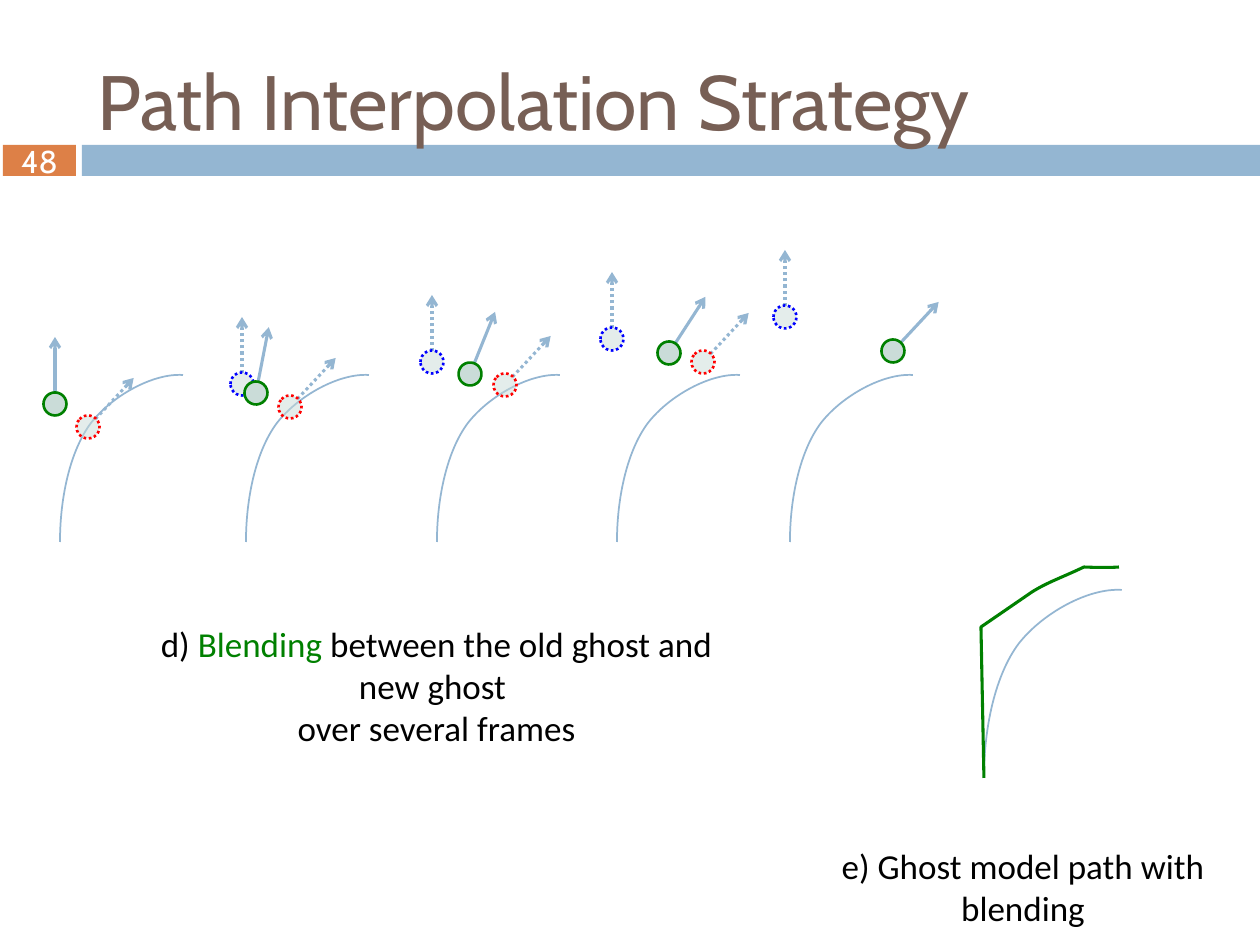
from math import cos, radians, sin

from lxml.etree import SubElement
from pptx import Presentation
from pptx.dml.color import RGBColor
from pptx.enum.dml import MSO_LINE as Dash
from pptx.enum.shapes import MSO_CONNECTOR as Connector, MSO_SHAPE as Preset
from pptx.enum.text import MSO_ANCHOR as Anchor, PP_ALIGN as Align
from pptx.oxml.ns import qn
from pptx.util import Pt

EMU_PER_PX = 914400 / 126
COLORS = {
    "title": "775F55", "bar": "94B6D2", "number": "DD8047", "ball": "CADCD8",
    "new": "FF0000", "old": "0000FF", "ghost": "008000",
    "black": "000000", "white": "FFFFFF",
}
BALL_SIZE = 23
ARROW_START, ARROW_END = 11, 67
TRACK = [(0, 0), [(0, -44), (10, -91), (31, -119)], [(52, -146), (93, -169), (123, -167)]]
BLENDED_PATH = [(984, 778), [(981, 627)], [(1032, 592)],
                [(1048, 582), (1061, 578), (1084, 567)],
                [(1108, 568), (1119, 567), (1119, 567)]]
FRAMES = [
    (60, [("new", 88, 427, 43), ("ghost", 55, 404, 0)]),
    (246, [("new", 290, 407, 43), ("old", 242, 384, 0), ("ghost", 256, 393, 11)]),
    (437, [("new", 505, 385, 43), ("old", 432, 362, 0), ("ghost", 470, 374, 22)]),
    (617, [("new", 703, 362, 43), ("old", 612, 339, 0), ("ghost", 669, 353, 33)]),
    (790, [("old", 785, 317, 0), ("ghost", 893, 351, 43)]),
]


def px(*lengths):
    return [round(length * EMU_PER_PX) for length in lengths]


def rgb(name):
    return RGBColor.from_string(COLORS[name])


def style_line(line, color, width, dotted=False):
    line.color.rgb = rgb(color)
    line.width = Pt(width)
    if dotted:
        line.dash_style = Dash.ROUND_DOT


def write(frame, paragraphs, size, font, color, align=Align.CENTER, anchor=Anchor.MIDDLE):
    frame.word_wrap = True
    frame.vertical_anchor = anchor
    for index, runs in enumerate(paragraphs):
        paragraph = frame.add_paragraph() if index else frame.paragraphs[0]
        paragraph.alignment = align
        paragraph.font.size = Pt(size)
        paragraph.font.name = font
        paragraph.font.color.rgb = rgb(color)
        for text, run_color in runs:
            run = paragraph.add_run()
            run.text = text
            if run_color != color:
                run.font.color.rgb = rgb(run_color)


def add_caption(slide, box, paragraphs):
    caption = slide.shapes.add_textbox(*px(*box))
    write(caption.text_frame, paragraphs, 20, "Calibri", "black", anchor=Anchor.TOP)


def add_band(slide, box, color):
    band = slide.shapes.add_shape(Preset.RECTANGLE, *px(*box))
    band.shadow.inherit = False
    band.fill.solid()
    band.fill.fore_color.rgb = rgb(color)
    band.line.fill.background()
    return band


def bend(outline, segments):
    steps = iter(outline._element.findall(".//" + qn("a:lnTo")))
    for segment in segments:
        first, *others = [next(steps) for _ in segment]
        if others:
            first.tag = qn("a:cubicBezTo")
        for step in others:
            first.append(step[0])
            step.getparent().remove(step)


def add_route(slide, route, color, width, origin=(0, 0), scale=1):
    start, *segments = route
    points = [start] + [point for segment in segments for point in segment]
    placed = [px(origin[0] + x * scale, origin[1] + y * scale) for x, y in points]
    builder = slide.shapes.build_freeform(*placed[0])
    builder.add_line_segments(placed[1:], close=False)
    outline = builder.convert_to_shape()
    bend(outline, segments)
    outline.shadow.inherit = False
    outline.fill.background()
    style_line(outline.line, color, width)


def add_heading(slide, x, y, angle, dotted):
    dx, dy = sin(radians(angle)), -cos(radians(angle))
    ends = [end for reach in (ARROW_START, ARROW_END)
            for end in px(x + dx * reach, y + dy * reach)]
    arrow = slide.shapes.add_connector(Connector.STRAIGHT, *ends)
    style_line(arrow.line, "bar", 1.75, dotted)
    SubElement(arrow.line._get_or_add_ln(), qn("a:tailEnd"), type="arrow")
    SubElement(arrow._element.spPr, qn("a:effectLst"))


def add_ball(slide, role, x, y, angle):
    dotted = role != "ghost"
    add_heading(slide, x, y, angle, dotted)
    corner = x - BALL_SIZE / 2, y - BALL_SIZE / 2
    ball = slide.shapes.add_shape(Preset.OVAL, *px(*corner, BALL_SIZE, BALL_SIZE))
    ball.shadow.inherit = False
    ball.rotation = angle
    ball.fill.solid()
    ball.fill.fore_color.rgb = rgb("ball")
    if dotted:
        tint = ball._element.spPr.find(qn("a:solidFill"))[0]
        SubElement(tint, qn("a:alpha"), val="50000")
    style_line(ball.line, role, 1.5, dotted)


def main():
    deck = Presentation()
    deck.slide_width, deck.slide_height = px(1260, 945)
    slide = deck.slides.add_slide(deck.slide_layouts[6])

    number = add_band(slide, (3, 145, 73, 31), "number")
    frame = number.text_frame
    frame.margin_left = frame.margin_right = frame.margin_top = frame.margin_bottom = 0
    write(frame, [[("48", "white")]], 18, "Cabin", "white")
    add_band(slide, (82, 145, 1178, 31), "bar")

    add_caption(slide, (134, 616, 605, 140), [
        [("d) ", "black"), ("Blending", "ghost"),
         (" between the old ghost and new ghost ", "black")],
        [("over several frames", "black")],
    ])
    for track_left, balls in FRAMES:
        add_route(slide, TRACK, "bar", 1, (track_left, 542))
        for ball in balls:
            add_ball(slide, *ball)

    add_caption(slide, (786, 838, 474, 97), [[("e) Ghost model path with blending", "black")]])
    add_route(slide, TRACK, "bar", 1, (984, 777), 1.12)
    add_route(slide, BLENDED_PATH, "ghost", 1.75)

    title = slide.shapes.add_textbox(*px(85, 32, 1124, 136))
    write(title.text_frame, [[("Path Interpolation Strategy", "title")]],
          44, "Cabin", "title", Align.LEFT)
    deck.save("out.pptx")


if __name__ == "__main__":
    main()
